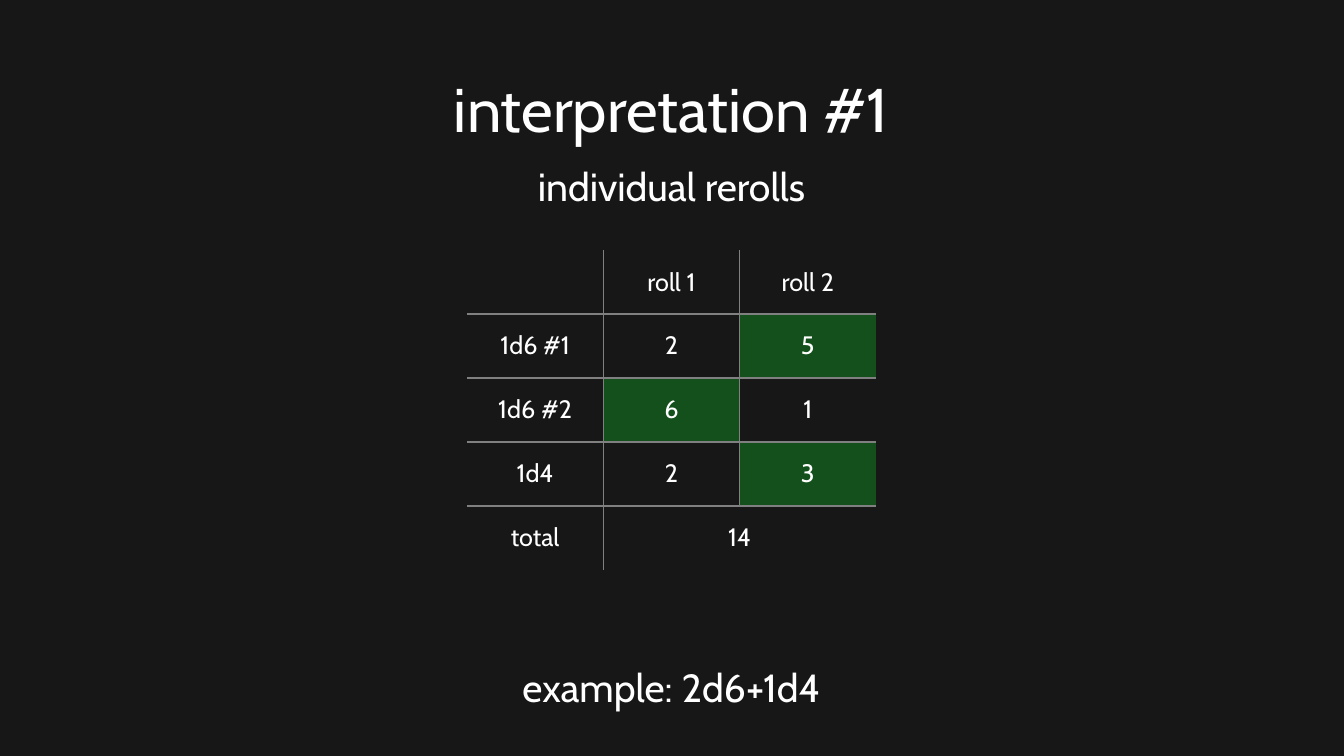
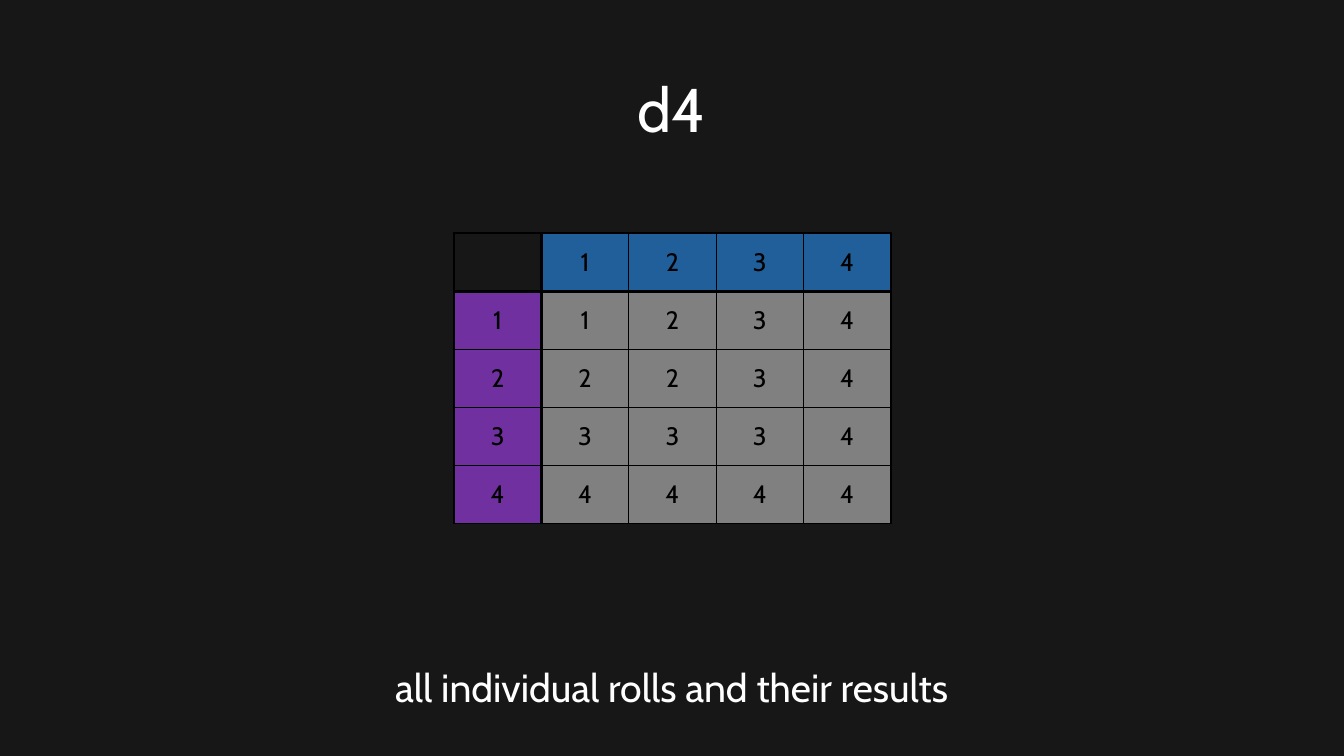
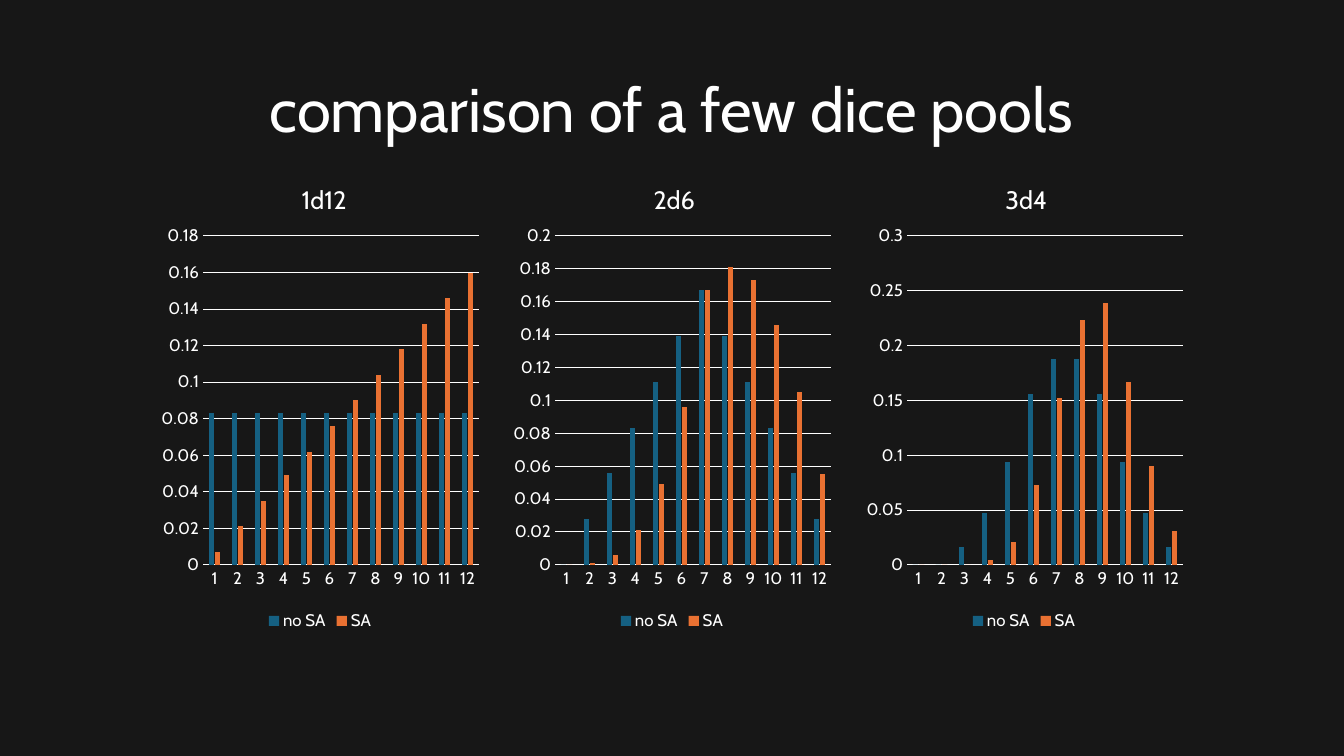
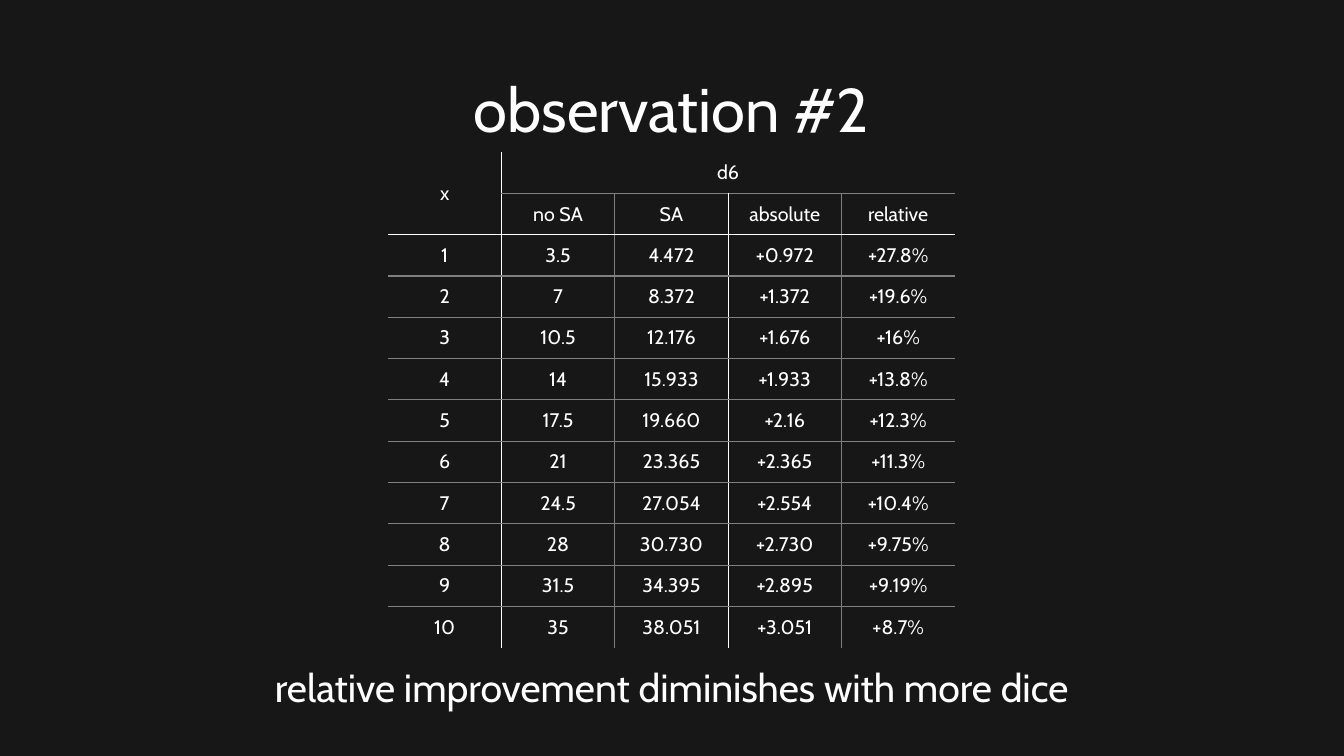
from dataclasses import dataclass
from typing import Any, NamedTuple, Optional

import pptx
import pptx.chart.chart
import pptx.chart.data
import pptx.dml.color
import pptx.enum.chart
import pptx.enum.text
import pptx.oxml
import pptx.oxml.ns
import pptx.slide
import pptx.table
import pptx.text.text
import pptx.util

PAGE_WIDTH, PAGE_HEIGHT = 1344, 756
EMU_PER_PX = 12192000 / PAGE_WIDTH
BLANK_LAYOUT = 6
PLAIN_TABLE_STYLE = "{2D5ABB26-0587-4C30-8999-92F81FD0307C}"


class Box(NamedTuple):
    left: int
    top: int
    width: int
    height: int

    def emu(self) -> list[int]:
        return [px(length) for length in self]


@dataclass(frozen=True)
class Theme:
    font: str = "Cabin"
    background: str = "171717"
    text: str = "FFFFFF"
    dark: str = "000000"
    gray: str = "808080"
    green: str = "13501B"
    blue: str = "215F9A"
    purple: str = "7030A0"
    series: tuple[str, str] = ("156082", "E97132")
    title_size: int = 44
    caption_size: int = 28
    label_size: int = 18
    small_size: int = 14
    axis_size: int = 12
    chart_line: float = 0.75


THEME = Theme()

TITLE_BOX = Box(154, 40, 1035, 146)
SUBTITLE_BOX = Box(154, 157, 1035, 57)
FOOTER_BOX = Box(154, 658, 1035, 57)

CHART_BOX = Box(154, 155, 332, 480)
CHART_STEP = 352
PLOT_AREA = Box(49, 81, 276, 329)
CHART_TITLE_AREA = Box(143, 23, 46, 30)


class Rule(NamedTuple):
    color: str
    width: float = 1


@dataclass(frozen=True)
class Grid:
    """A table; strong rules lie on the numbered grid lines, counted from 0 at the edge."""
    box: Box
    rows: list[list[str]]
    rule: Rule
    strong_rule: Optional[Rule] = None
    strong_rows: tuple[int, ...] = ()
    strong_columns: tuple[int, ...] = ()
    framed: bool = False
    text_color: str = THEME.text
    text_size: int = THEME.label_size
    fills: Optional[dict[tuple[int, int], str]] = None
    merges: tuple[tuple[int, int, int, int], ...] = ()

    def rule_at(self, line: int, count: int, strong: tuple[int, ...]) -> Optional[Rule]:
        if line in strong:
            return self.strong_rule
        return self.rule if self.framed or 0 < line < count else None


class DicePool(NamedTuple):
    name: str
    axis_top: float
    axis_step: float
    plain: list[float]
    advantage: list[float]


def px(length: int) -> int:
    return round(length * EMU_PER_PX)


def rgb(color: str) -> pptx.dml.color.RGBColor:
    return pptx.dml.color.RGBColor.from_string(color)


def apply(target: Any, values: dict[str, Any]) -> None:
    for name, value in values.items():
        setattr(target, name, value)


def style_font(font: pptx.text.text.Font, size: int, color: str = THEME.text) -> None:
    apply(font, {"name": THEME.font, "size": pptx.util.Pt(size), "bold": False})
    font.color.rgb = rgb(color)


def write(frame: pptx.text.text.TextFrame, text: str, size: int,
          color: str = THEME.text) -> pptx.text.text._Paragraph:
    para = frame.paragraphs[0]
    para.alignment = pptx.enum.text.PP_ALIGN.CENTER
    span = para.add_run()
    span.text = text
    style_font(span.font, size, color)
    return para


def add_text(page: pptx.slide.Slide, box: Box, text: str,
             size: int = THEME.caption_size) -> pptx.text.text._Paragraph:
    frame = page.shapes.add_textbox(*box.emu()).text_frame
    apply(frame, {"word_wrap": True, "vertical_anchor": pptx.enum.text.MSO_ANCHOR.MIDDLE})
    return write(frame, text, size)


def add_page(deck: Any, title: str, footer: str = "") -> pptx.slide.Slide:
    page = deck.slides.add_slide(deck.slide_layouts[BLANK_LAYOUT])
    add_text(page, TITLE_BOX, title, THEME.title_size).line_spacing = 0.9
    if footer:
        add_text(page, FOOTER_BOX, footer)
    return page


def draw_borders(cell: pptx.table._Cell, rules: dict[str, Optional[Rule]]) -> None:
    """Put the border elements ahead of the fill, in the order the schema asks for."""
    properties = cell._tc.get_or_add_tcPr()
    drawn = [(side, rule) for side, rule in rules.items() if rule]
    for position, (side, rule) in enumerate(drawn):
        properties.insert(position, pptx.oxml.parse_xml(
            f'<a:ln{side} {pptx.oxml.ns.nsdecls("a")} w="{pptx.util.Pt(rule.width)}">'
            f'<a:solidFill><a:srgbClr val="{rule.color}"/></a:solidFill></a:ln{side}>'))


def add_grid(page: pptx.slide.Slide, grid: Grid) -> None:
    row_count, column_count = len(grid.rows), len(grid.rows[0])
    holder = page.shapes.add_table(row_count, column_count, *grid.box.emu())
    for style in holder.element.iter(pptx.oxml.ns.qn("a:tableStyleId")):
        style.text = PLAIN_TABLE_STYLE
    table = holder.table
    apply(table, {"first_row": False, "horz_banding": False})
    for top, left, bottom, right in grid.merges:
        table.cell(top, left).merge(table.cell(bottom, right))
    for row, texts in enumerate(grid.rows):
        for column, text in enumerate(texts):
            cell = table.cell(row, column)
            if cell.is_spanned:
                continue
            cell.vertical_anchor = pptx.enum.text.MSO_ANCHOR.MIDDLE
            if text:
                write(cell.text_frame, text, grid.text_size, grid.text_color)
            fill = (grid.fills or {}).get((row, column))
            if fill:
                cell.fill.solid()
                cell.fill.fore_color.rgb = rgb(fill)
            else:
                cell.fill.background()
            end_row, end_column = row + cell.span_height, column + cell.span_width
            draw_borders(cell, {
                "L": grid.rule_at(column, column_count, grid.strong_columns),
                "R": grid.rule_at(end_column, column_count, grid.strong_columns),
                "T": grid.rule_at(row, row_count, grid.strong_rows),
                "B": grid.rule_at(end_row, row_count, grid.strong_rows),
            })


def place_in_chart(element: Any, area: Box, tags: tuple[str, ...]) -> None:
    """Fix a chart part at an area measured from the chart's top left corner."""
    for old in element.findall(pptx.oxml.ns.qn("c:layout")):
        element.remove(old)
    shares = {"x": area.left / CHART_BOX.width, "y": area.top / CHART_BOX.height,
              "w": area.width / CHART_BOX.width, "h": area.height / CHART_BOX.height}
    target = '<c:layoutTarget val="inner"/>' if "w" in tags else ""
    modes = "".join(f'<c:{tag}Mode val="edge"/>' for tag in "xy")
    sizes = "".join(f'<c:{tag} val="{shares[tag]:.4f}"/>' for tag in tags)
    layout = pptx.oxml.parse_xml(
        f'<c:layout {pptx.oxml.ns.nsdecls("c")}><c:manualLayout>'
        f'{target}{modes}{sizes}</c:manualLayout></c:layout>')
    text = element.find(pptx.oxml.ns.qn("c:tx"))
    element.insert(0 if text is None else 1, layout)


def style_axes(chart: pptx.chart.chart.Chart, pool: DicePool) -> None:
    values, categories = chart.value_axis, chart.category_axis
    apply(values, {"minimum_scale": 0, "maximum_scale": pool.axis_top,
                   "major_unit": pool.axis_step, "has_major_gridlines": True})
    for axis in (values, categories):
        apply(axis, {"major_tick_mark": pptx.enum.chart.XL_TICK_MARK.NONE,
                     "minor_tick_mark": pptx.enum.chart.XL_TICK_MARK.NONE})
        style_font(axis.tick_labels.font, THEME.axis_size)
    apply(values.tick_labels, {"number_format": "General", "number_format_is_linked": False})
    values.format.line.fill.background()
    for line in (values.major_gridlines.format.line, categories.format.line):
        line.color.rgb = rgb(THEME.text)
        line.width = pptx.util.Pt(THEME.chart_line)


def add_pool_chart(page: pptx.slide.Slide, box: Box, pool: DicePool) -> None:
    data = pptx.chart.data.CategoryChartData()
    data.categories = [str(total) for total in range(1, len(pool.plain) + 1)]
    data.add_series("no SA", pool.plain)
    data.add_series("SA", pool.advantage)
    chart = page.shapes.add_chart(
        pptx.enum.chart.XL_CHART_TYPE.COLUMN_CLUSTERED, *box.emu(), data).chart
    style_font(chart.font, THEME.axis_size)
    apply(chart, {"has_title": True, "has_legend": True})
    write(chart.chart_title.text_frame, pool.name, THEME.label_size)
    apply(chart.legend, {"position": pptx.enum.chart.XL_LEGEND_POSITION.BOTTOM,
                         "include_in_layout": False})
    style_font(chart.legend.font, THEME.axis_size)
    style_axes(chart, pool)
    plot = chart.plots[0]
    apply(plot, {"gap_width": 219, "overlap": -27, "vary_by_categories": False})
    for series, color in zip(plot.series, THEME.series):
        series.format.fill.solid()
        series.format.fill.fore_color.rgb = rgb(color)
    place_in_chart(chart.chart_title.element if hasattr(chart.chart_title, "element")
                   else chart.chart_title._element, CHART_TITLE_AREA, ("x", "y"))
    for area in chart.element.iter(pptx.oxml.ns.qn("c:plotArea")):
        place_in_chart(area, PLOT_AREA, ("x", "y", "w", "h"))


def add_interpretation(deck: Any) -> None:
    page = add_page(deck, "interpretation #1", "example: 2d6+1d4")
    add_text(page, SUBTITLE_BOX, "individual rerolls")
    add_grid(page, Grid(
        box=Box(467, 250, 409, 320),
        rows=[["", "roll 1", "roll 2"],
              ["1d6 #1", "2", "5"],
              ["1d6 #2", "6", "1"],
              ["1d4", "2", "3"],
              ["total", "14", ""]],
        rule=Rule(THEME.gray),
        fills=dict.fromkeys([(1, 2), (2, 1), (3, 2)], THEME.green),
        merges=((4, 1, 4, 2),)))


def add_four_sided_die(deck: Any) -> None:
    page = add_page(deck, "d4", "all individual rolls and their results")
    faces = range(1, 5)
    fills = {(first, second): THEME.gray for first in faces for second in faces}
    fills |= {(0, face): THEME.blue for face in faces}
    fills |= {(face, 0): THEME.purple for face in faces}
    results = [[str(max(first, second)) for second in range(5)] for first in range(5)]
    results[0][0] = ""
    add_grid(page, Grid(
        box=Box(454, 233, 437, 291),
        rows=results,
        rule=Rule(THEME.dark),
        strong_rule=Rule(THEME.dark, 2.25),
        strong_rows=(1,),
        strong_columns=(1,),
        framed=True,
        text_color=THEME.dark,
        fills=fills))


def add_comparison(deck: Any) -> None:
    page = add_page(deck, "comparison of a few dice pools")
    pools = [
        DicePool("1d12", 0.18, 0.02, [0.083] * 12,
                 [0.007, 0.021, 0.035, 0.049, 0.062, 0.076,
                  0.09, 0.104, 0.118, 0.132, 0.146, 0.16]),
        DicePool("2d6", 0.2, 0.02,
                 [0, 0.028, 0.056, 0.083, 0.111, 0.139,
                  0.167, 0.139, 0.111, 0.083, 0.056, 0.028],
                 [0, 0.001, 0.006, 0.021, 0.049, 0.096,
                  0.167, 0.181, 0.173, 0.146, 0.105, 0.055]),
        DicePool("3d4", 0.3, 0.05,
                 [0, 0, 0.016, 0.047, 0.094, 0.156,
                  0.188, 0.188, 0.156, 0.094, 0.047, 0.016],
                 [0, 0, 0, 0.004, 0.021, 0.073,
                  0.152, 0.223, 0.239, 0.167, 0.09, 0.031]),
    ]
    for index, pool in enumerate(pools):
        box = CHART_BOX._replace(left=CHART_BOX.left + index * CHART_STEP)
        add_pool_chart(page, box, pool)


def add_observation(deck: Any) -> None:
    page = add_page(deck, "observation #2", "relative improvement diminishes with more dice")
    add_grid(page, Grid(
        box=Box(388, 152, 567, 496),
        rows=[["x", "d6", "", "", ""],
              ["", "no SA", "SA", "absolute", "relative"],
              ["1", "3.5", "4.472", "+0.972", "+27.8%"],
              ["2", "7", "8.372", "+1.372", "+19.6%"],
              ["3", "10.5", "12.176", "+1.676", "+16%"],
              ["4", "14", "15.933", "+1.933", "+13.8%"],
              ["5", "17.5", "19.660", "+2.16", "+12.3%"],
              ["6", "21", "23.365", "+2.365", "+11.3%"],
              ["7", "24.5", "27.054", "+2.554", "+10.4%"],
              ["8", "28", "30.730", "+2.730", "+9.75%"],
              ["9", "31.5", "34.395", "+2.895", "+9.19%"],
              ["10", "35", "38.051", "+3.051", "+8.7%"]],
        rule=Rule(THEME.gray),
        strong_rule=Rule(THEME.text),
        strong_rows=(2,),
        strong_columns=(1, 3),
        text_size=THEME.small_size,
        merges=((0, 0, 1, 0), (0, 1, 0, 4))))


def main() -> None:
    deck = pptx.Presentation()
    apply(deck, {"slide_width": px(PAGE_WIDTH), "slide_height": px(PAGE_HEIGHT)})
    backdrop = deck.slide_master.background.fill
    backdrop.solid()
    backdrop.fore_color.rgb = rgb(THEME.background)
    for add_slide in (add_interpretation, add_four_sided_die, add_comparison, add_observation):
        add_slide(deck)
    deck.save("out.pptx")


if __name__ == "__main__":
    main()
